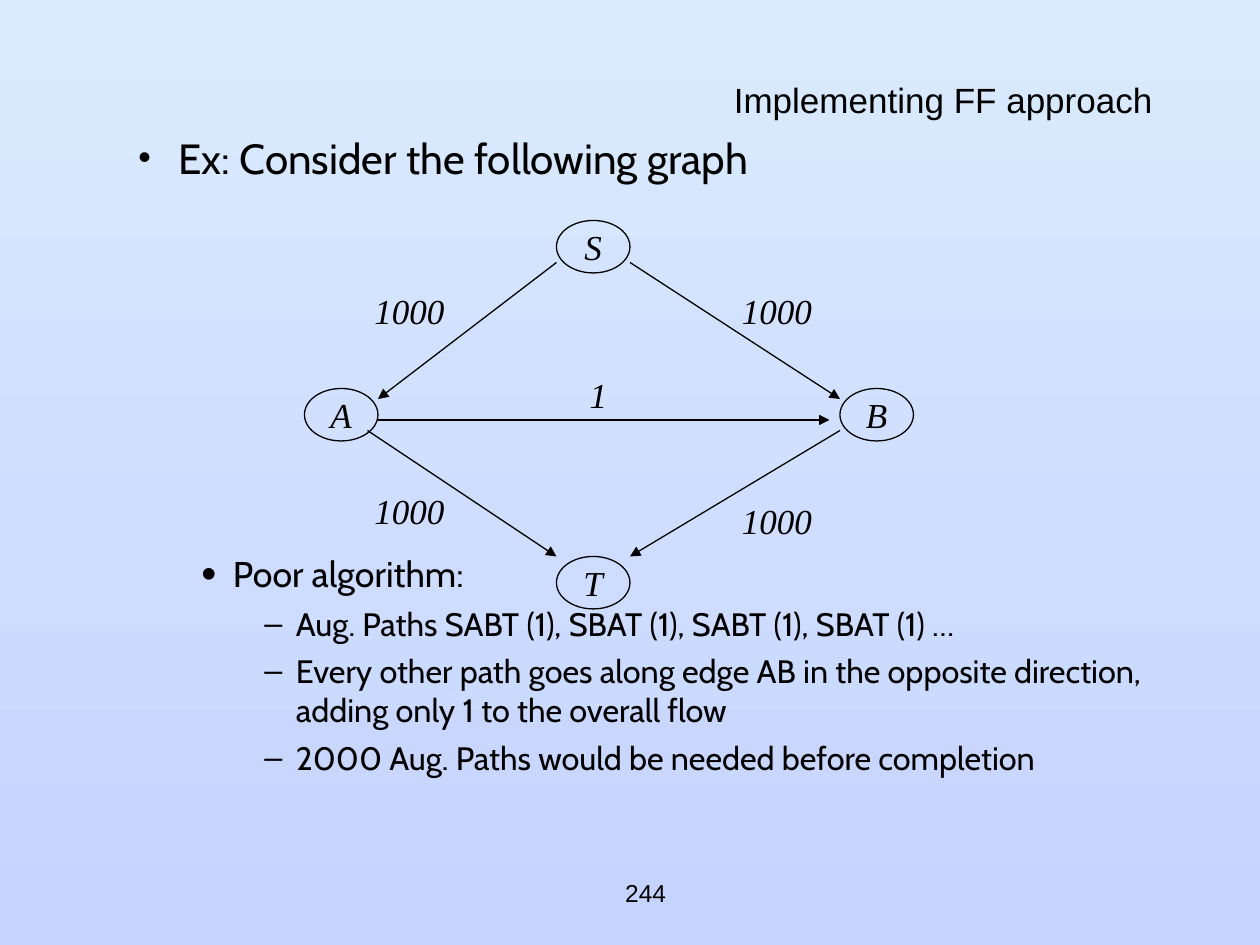
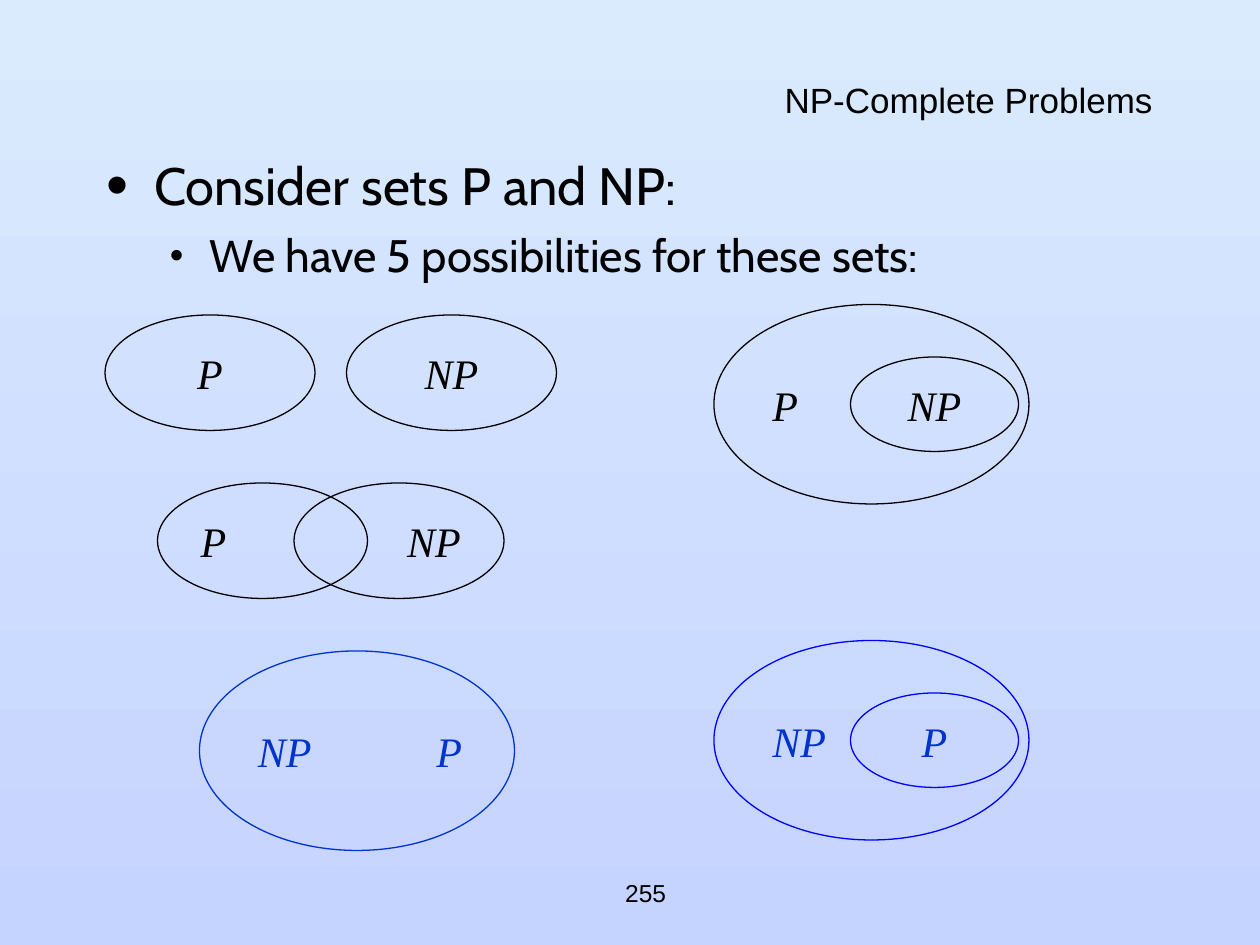
import dataclasses

import lxml.etree
import pptx
import pptx.dml.color
import pptx.enum.shapes
import pptx.enum.text
import pptx.oxml.ns
import pptx.util

ALIGN = pptx.enum.text.PP_ALIGN
ANCHOR = pptx.enum.text.MSO_ANCHOR
SHAPES = pptx.enum.shapes.MSO_SHAPE
EMU_PER_PX = 7620
TITLE_ONLY = 5


@dataclasses.dataclass(frozen=True)
class Theme:
    """Colours, fonts and type sizes shared by the slides."""

    ink: str = "000000"
    accent: str = "0033CC"
    outline: str = "0000FF"
    sky_top: str = "DAEBFE"
    sky_bottom: str = "C5D3FF"
    heading_font: str = "Arial"
    body_font: str = "Cabin"
    math_font: str = "Times New Roman"
    title_size: float = 20
    number_size: float = 14
    node_size: float = 20
    set_size: float = 24
    line_width: float = 0.75


THEME = Theme()
BULLETS = {
    "main": {"level": 0, "left": 45, "hang": 45, "mark": "•", "percent": 120},
    "sub": {"level": 1, "left": 98, "hang": 38, "mark": "•", "percent": 85},
    "point": {"level": 2, "left": 150, "hang": 30, "mark": "•", "percent": 120},
    "dash": {"level": 3, "left": 210, "hang": 30, "mark": "–", "percent": 100},
}


def px(length):
    """Turn pixels into EMU."""
    return pptx.util.Emu(length * EMU_PER_PX)


def rgb(code):
    """Turn a hex code into a colour."""
    return pptx.dml.color.RGBColor.from_string(code)


def assign(target, values):
    """Set each named attribute on the target."""
    for name, value in values.items():
        setattr(target, name, value)


def add_xml(parent, tag, **attributes):
    """Append a drawing element to the parent."""
    return lxml.etree.SubElement(parent, pptx.oxml.ns.qn(tag), attributes)


def write(paragraph, text, font, size, color=THEME.ink, **layout):
    """Fill a paragraph with one formatted run."""
    assign(paragraph, layout)
    run = paragraph.add_run()
    run.text = text
    assign(run.font, {"name": font, "size": pptx.util.Pt(size),
                      "italic": font == THEME.math_font})
    run.font.color.rgb = rgb(color)


def place(shape, box):
    """Move a shape to a left, top, width, height box."""
    assign(shape, dict(zip(("left", "top", "width", "height"), map(px, box))))


def add_text_box(slide, box, anchor=ANCHOR.TOP):
    """Add a wrapping text box and return its frame."""
    frame = slide.shapes.add_textbox(*map(px, box)).text_frame
    assign(frame, {"word_wrap": True, "vertical_anchor": anchor})
    return frame


def add_slide(presentation, title, number):
    """Add a slide with its title and page number."""
    slide = presentation.slides.add_slide(presentation.slide_layouts[TITLE_ONLY])
    place(slide.shapes.title, (90, 80, 1020, 40))
    frame = slide.shapes.title.text_frame
    assign(frame, {"vertical_anchor": ANCHOR.MIDDLE, "word_wrap": True,
                   "auto_size": pptx.enum.text.MSO_AUTO_SIZE.NONE})
    write(frame.paragraphs[0], title, THEME.heading_font, THEME.title_size,
          alignment=ALIGN.RIGHT, line_spacing=0.7)
    footer = add_text_box(slide, (490, 820, 250, 60), ANCHOR.MIDDLE)
    write(footer.paragraphs[0], number, THEME.heading_font, THEME.number_size,
          alignment=ALIGN.CENTER)
    return slide


def add_bullet(paragraph, level, left, hang, mark, percent):
    """Give a paragraph a bullet with a hanging indent."""
    paragraph.level = level
    properties = paragraph._p.get_or_add_pPr()
    properties.set("marL", str(px(left)))
    properties.set("indent", str(px(-hang)))
    add_xml(add_xml(properties, "a:buClr"), "a:srgbClr", val=THEME.ink)
    add_xml(properties, "a:buSzPct", val=str(percent * 1000))
    add_xml(properties, "a:buFont", typeface=THEME.heading_font)
    add_xml(properties, "a:buChar", char=mark)


def add_body(slide, box, items):
    """Add bulleted text from kind, size, space before and text."""
    frame = add_text_box(slide, box)
    for index, (kind, size, space, text) in enumerate(items):
        paragraph = frame.add_paragraph() if index else frame.paragraphs[0]
        write(paragraph, text, THEME.body_font, size,
              space_before=pptx.util.Pt(space))
        add_bullet(paragraph, **BULLETS[kind])


def add_ellipse(slide, box, text, size, alignment=ALIGN.CENTER,
                line=THEME.ink, color=THEME.ink):
    """Add an unfilled ellipse with an italic name."""
    shape = slide.shapes.add_shape(SHAPES.OVAL, *map(px, box))
    shape.shadow.inherit = False
    shape.fill.background()
    shape.line.color.rgb = rgb(line)
    shape.line.width = pptx.util.Pt(THEME.line_width)
    assign(shape.text_frame, {"word_wrap": False, "vertical_anchor": ANCHOR.MIDDLE})
    paragraph = shape.text_frame.paragraphs[0]
    write(paragraph, text, THEME.math_font, size, color, alignment=alignment)
    return paragraph


def add_arrow(slide, start, end):
    """Add a straight arrow between two points."""
    kind = pptx.enum.shapes.MSO_CONNECTOR.STRAIGHT
    arrow = slide.shapes.add_connector(kind, *map(px, start + end))
    arrow.line.color.rgb = rgb(THEME.ink)
    arrow.line.width = pptx.util.Pt(THEME.line_width)
    add_xml(arrow.line._get_or_add_ln(), "a:tailEnd", type="triangle")
    add_xml(arrow._element.spPr, "a:effectLst")


def add_flow_graph(slide, left, top):
    """Draw the flow network with its capacities."""
    nodes = {"S": (240, 0), "A": (0, 160), "B": (510, 160), "T": (240, 320)}
    edges = [
        ((240, 40), (70, 170), "1000", (40, 60)),
        ((310, 40), (510, 170), "1000", (390, 60)),
        ((510, 200), (310, 320), "1000", (390, 260)),
        ((60, 200), (240, 320), "1000", (40, 250)),
        ((70, 190), (500, 190), "1", (220, 140)),
    ]

    def shift(point):
        """Move a point into the graph's box."""
        return left + point[0], top + point[1]

    for name, corner in nodes.items():
        add_ellipse(slide, (*shift(corner), 70, 50), name, THEME.node_size)
    for start, end, capacity, corner in edges:
        add_arrow(slide, shift(start), shift(end))
        label = add_text_box(slide, (*shift(corner), 120, 53))
        write(label.paragraphs[0], capacity, THEME.math_font, THEME.node_size,
              alignment=ALIGN.CENTER)


def add_set_pair(slide, left, top, step, alignments):
    """Draw P and NP as equal ellipses one step apart."""
    for index, (name, alignment) in enumerate(zip(("P", "NP"), alignments)):
        add_ellipse(slide, (left + index * step, top, 200, 110), name,
                    THEME.set_size, alignment)


def add_nested_sets(slide, left, top, outer, inner, **colors):
    """Draw one set inside another."""
    add_ellipse(slide, (left, top, 300, 190), outer, THEME.set_size,
                ALIGN.LEFT, **colors)
    add_ellipse(slide, (left + 130, top + 50, 160, 90), inner, THEME.set_size,
                **colors)


def add_equal_sets(slide, left, top):
    """Draw one ellipse that holds both names."""
    paragraph = add_ellipse(slide, (left, top, 300, 190), "NP\tP", THEME.set_size,
                            ALIGN.LEFT, THEME.accent, THEME.accent)
    tabs = add_xml(paragraph._p.get_or_add_pPr(), "a:tabLst")
    add_xml(tabs, "a:tab", pos=str(px(170)), algn="l")


def build_flow_slide(presentation):
    """Build the slide on augmenting paths."""
    slide = add_slide(presentation, "Implementing FF approach", "244")
    add_body(slide, (60, 120, 1050, 680), [
        ("sub", 24.1, 0, "Ex: Consider the following graph"),
        ("point", 20.4, 211, "Poor algorithm:"),
        ("dash", 18.5, 5, "Aug. Paths SABT (1), SBAT (1), SABT (1), SBAT (1) …"),
        ("dash", 18.5, 5, "Every other path goes along edge AB in the opposite "
                          "direction, adding only 1 to the overall flow"),
        ("dash", 18.5, 5, "2000 Aug. Paths would be needed before completion"),
    ])
    add_flow_graph(slide, 290, 210)


def build_sets_slide(presentation):
    """Build the slide on how P and NP may relate."""
    slide = add_slide(presentation, "NP-Complete Problems", "255")
    add_body(slide, (90, 140, 1020, 660), [
        ("main", 30, 0, "Consider sets P and NP:"),
        ("sub", 26, 6.5, "We have 5 possibilities for these sets:"),
    ])
    add_set_pair(slide, 100, 300, 230, (ALIGN.CENTER, ALIGN.CENTER))
    add_set_pair(slide, 150, 460, 130, (ALIGN.LEFT, ALIGN.RIGHT))
    add_nested_sets(slide, 680, 290, "P", "NP")
    add_nested_sets(slide, 680, 610, "NP", "P", line=THEME.outline, color=THEME.accent)
    add_equal_sets(slide, 190, 620)


def paint_background(master):
    """Give every slide the vertical gradient."""
    fill = master.background.fill
    fill.gradient()
    fill.gradient_angle = 270
    for stop, color, position in zip(fill.gradient_stops,
                                     (THEME.sky_top, THEME.sky_bottom), (0, 1)):
        stop.color.rgb = rgb(color)
        stop.position = position


def main():
    """Build and save the presentation."""
    presentation = pptx.Presentation()
    assign(presentation, {"slide_width": px(1200), "slide_height": px(900)})
    paint_background(presentation.slide_master)
    build_flow_slide(presentation)
    build_sets_slide(presentation)
    presentation.save("out.pptx")


if __name__ == "__main__":
    main()
